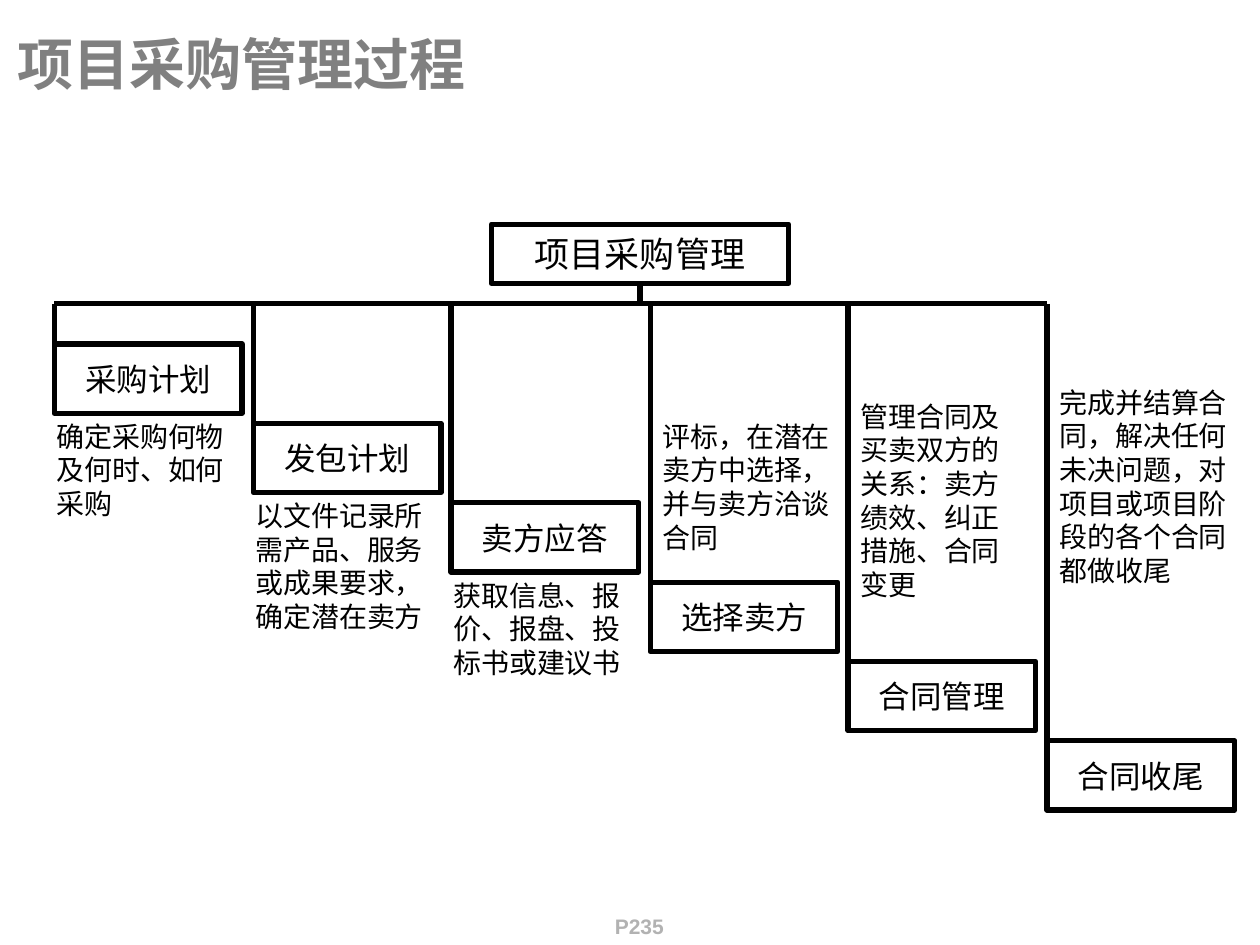
from dataclasses import dataclass

from lxml.etree import SubElement
from pptx import Presentation
from pptx.dml.color import RGBColor
from pptx.enum.lang import MSO_LANGUAGE_ID as Lang
from pptx.enum.shapes import MSO_CONNECTOR as Connector, MSO_SHAPE as Shape
from pptx.enum.text import MSO_ANCHOR as Anchor, MSO_AUTO_SIZE as AutoSize, PP_ALIGN as Align
from pptx.oxml.ns import qn
from pptx.util import Emu, Pt

PX = 9144  # EMU per px, 100 px to the inch


@dataclass(frozen=True)
class Theme:
    font: str = "Arial"
    ink: RGBColor = RGBColor(0x00, 0x00, 0x00)
    title_grey: RGBColor = RGBColor(0x80, 0x80, 0x80)
    page_grey: RGBColor = RGBColor(0xB2, 0xB2, 0xB2)
    title_size: int = 32
    root_size: int = 20
    step_size: int = 18
    note_size: int = 16
    page_size: int = 12
    line_width: int = 3


@dataclass(frozen=True)
class Area:
    left: int
    top: int
    width: int
    height: int

    def emu(self) -> tuple[Emu, ...]:
        return tuple(px(v) for v in (self.left, self.top, self.width, self.height))


@dataclass(frozen=True)
class Step:
    name: str
    note: str
    note_width: int
    note_height: int
    note_top: int | None = None  # None hangs the note under its box


THEME = Theme()
ROOT = Area(390, 178, 236, 47)
BAR_TOP = 241
FIRST_LEFT, COLUMN_PITCH = 43, 157.6
FIRST_TOP, STEP_DROP = 273, 63
BOX_WIDTH, BOX_HEIGHT = 149, 55
NOTE_OUTDENT = 8

STEPS = [
    Step("采购计划", "确定采购何物及何时、如何采购", 165, 90),
    Step("发包计划", "以文件记录所需产品、服务或成果要求，确定潜在卖方", 157, 117),
    Step("卖方应答", "获取信息、报价、报盘、投标书或建议书", 157, 90),
    Step("选择卖方", "评标，在潜在卖方中选择，并与卖方洽谈合同", 157, 117, 328),
    Step("合同管理", "管理合同及买卖双方的关系：卖方绩效、纠正措施、合同变更", 149, 170, 312),
    Step("合同收尾", "完成并结算合同，解决任何未决问题，对项目或项目阶段的各个合同都做收尾",
         169, 170, 301),
]


def px(value: int) -> Emu:
    return Emu(value * PX)


def write(shape, text: str, size: int, color: RGBColor, align=Align.LEFT,
          anchor=Anchor.TOP, bold: bool = False, wrap: bool = True) -> None:
    frame = shape.text_frame
    frame.text = text
    frame.auto_size = AutoSize.NONE
    frame.word_wrap = wrap
    frame.vertical_anchor = anchor
    paragraph = frame.paragraphs[0]
    paragraph.alignment = align
    font = paragraph.runs[0].font
    font.name, font.size, font.bold = THEME.font, Pt(size), bold
    font.color.rgb = color
    font.language_id = Lang.SIMPLIFIED_CHINESE


def draw_box(slide, area: Area, text: str, size: int) -> None:
    box = slide.shapes.add_shape(Shape.RECTANGLE, *area.emu())
    box.shadow.inherit = False
    box.fill.background()
    box.line.color.rgb = THEME.ink
    box.line.width = Pt(THEME.line_width)
    write(box, text, size, THEME.ink, Align.CENTER, Anchor.MIDDLE, wrap=False)


def draw_line(slide, x1: int, y1: int, x2: int, y2: int) -> None:
    line = slide.shapes.add_connector(Connector.STRAIGHT, px(x1), px(y1), px(x2), px(y2))
    line.line.color.rgb = THEME.ink
    line.line.width = Pt(THEME.line_width)
    SubElement(line._element.spPr, qn("a:effectLst"))


def draw_step(slide, index: int, step: Step) -> None:
    left = round(FIRST_LEFT + COLUMN_PITCH * index)
    top = FIRST_TOP + STEP_DROP * index
    draw_line(slide, left, BAR_TOP, left, top)
    draw_box(slide, Area(left, top, BOX_WIDTH, BOX_HEIGHT), step.name, THEME.step_size)

    if step.note_top is None:
        note_left, note_top = left - NOTE_OUTDENT, top + BOX_HEIGHT
    else:
        note_left, note_top = left, step.note_top
    area = Area(note_left, note_top, step.note_width, step.note_height)
    note = slide.shapes.add_textbox(*area.emu())
    write(note, step.note, THEME.note_size, THEME.ink)


def main() -> None:
    deck = Presentation()
    deck.slide_width, deck.slide_height = px(1000), px(750)
    slide = deck.slides.add_slide(deck.slide_layouts[5])

    # Title
    title = slide.shapes.title
    title.left, title.top, title.width, title.height = Area(4, 17, 996, 66).emu()
    write(title, "项目采购管理过程", THEME.title_size, THEME.title_grey,
          anchor=Anchor.MIDDLE, bold=True)

    # Root box, its stem and the shared bar
    draw_box(slide, ROOT, "项目采购管理", THEME.root_size)
    center = ROOT.left + ROOT.width // 2
    draw_line(slide, center, ROOT.top + ROOT.height, center, BAR_TOP)
    last_left = round(FIRST_LEFT + COLUMN_PITCH * (len(STEPS) - 1))
    draw_line(slide, FIRST_LEFT, BAR_TOP, last_left, BAR_TOP)

    # Staircase of processes
    for index, step in enumerate(STEPS):
        draw_step(slide, index, step)

    # Page reference
    page = slide.shapes.add_textbox(*Area(476, 720, 63, 33).emu())
    write(page, "P235", THEME.page_size, THEME.page_grey, Align.CENTER, bold=True, wrap=False)

    deck.save("out.pptx")


if __name__ == "__main__":
    main()
